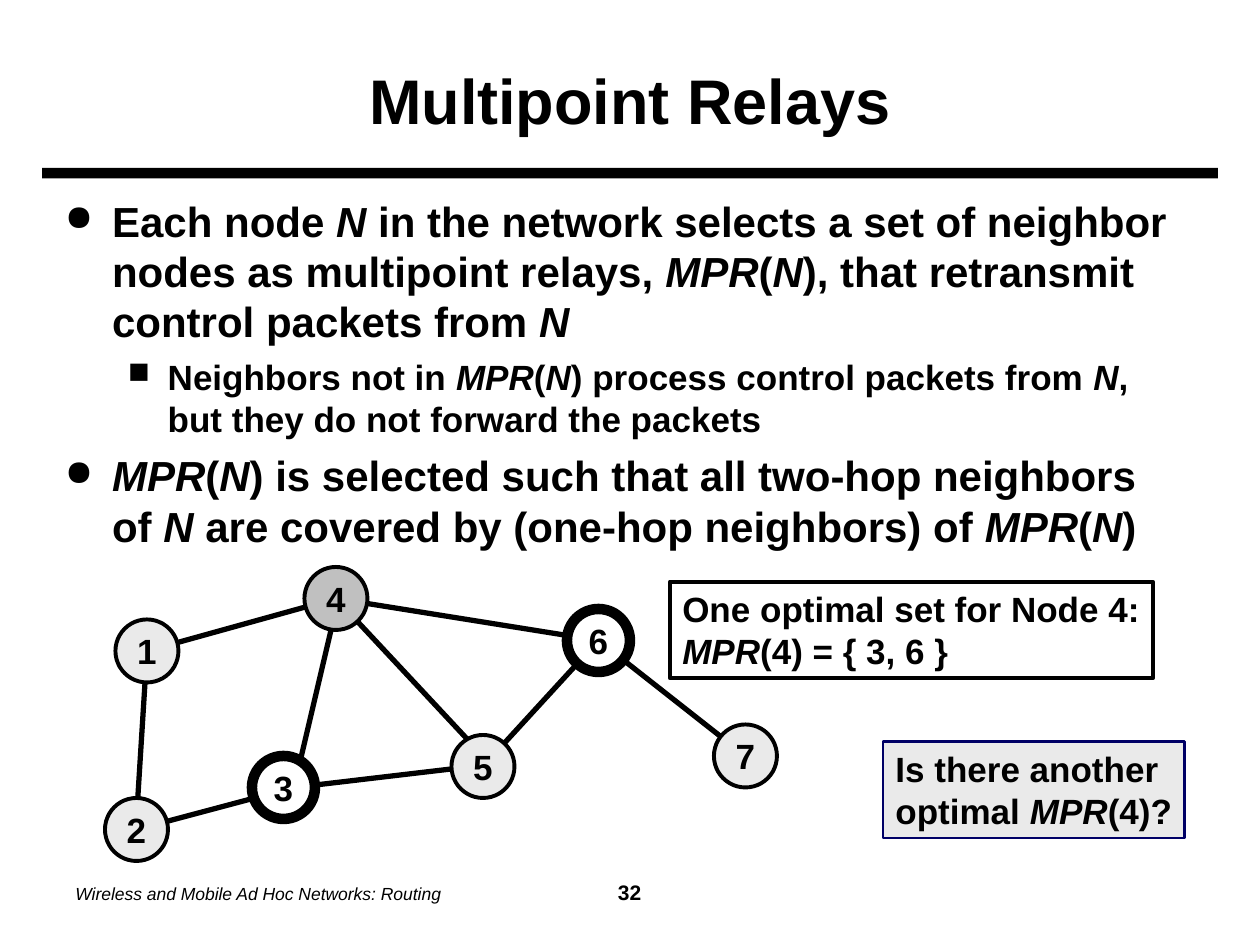
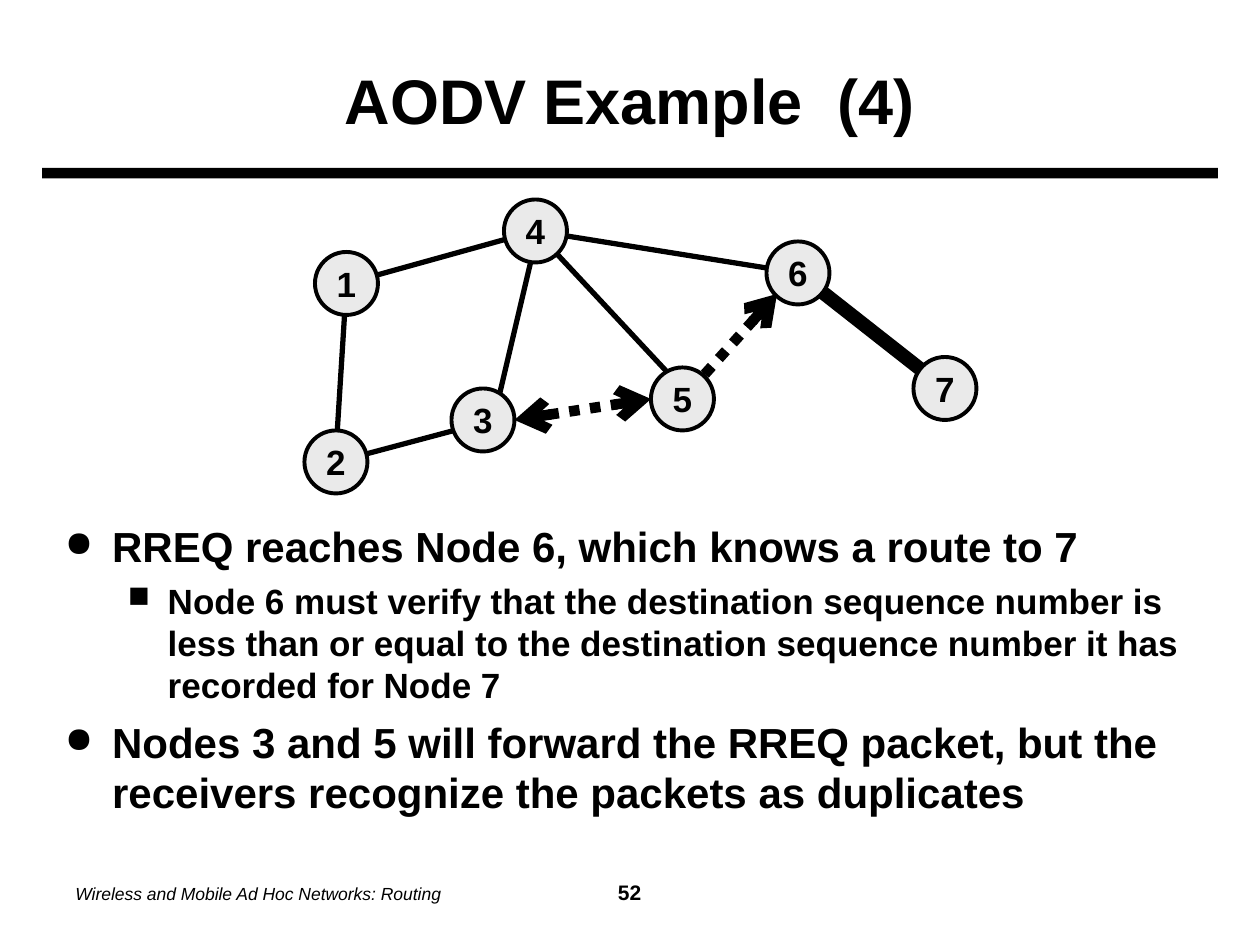
from lxml import etree
from pptx import Presentation
from pptx import util as u
from pptx.dml.color import RGBColor
from pptx.enum import dml, shapes, text
from pptx.oxml import ns

BLACK = RGBColor(0x00, 0x00, 0x00)
WHITE = RGBColor(0xFF, 0xFF, 0xFF)
PALE = RGBColor(0xEA, 0xEA, 0xEA)
SILVER = RGBColor(0xC0, 0xC0, 0xC0)
NAVY = RGBColor(0x00, 0x00, 0x66)

PX = 7620  # EMU in one px, 120 px to the inch
PAGE = (1200, 900)
FOOTER = "Wireless and Mobile Ad Hoc Networks: Routing"
NODE_SIZE = 60

# Formats
TITLE = {"size": u.Pt(36), "bold": True}
LABEL = {"size": u.Pt(20), "bold": True}
FOOTER_NAME = {"size": u.Pt(10), "italic": True}
FOOTER_NUMBER = {"size": u.Pt(12), "bold": True}
LEVELS = [
    {"mark": "●", "margin": 45, "hang": 45, "before": 6,
     "font": {"size": u.Pt(24), "bold": True}},
    {"mark": "■", "margin": 98, "hang": 38, "before": 5, "font": LABEL},
]

# The network: node centres, and how far each link's ends sit from them
NODES = {1: (140, 620), 4: (320, 570), 3: (270, 750), 5: (460, 730),
         2: (130, 790), 6: (570, 610), 7: (710, 720)}
LINKS = {
    (1, 2): (0, 0, 0, -10),
    (4, 5): (0, 0, 0, -10),
    (2, 3): (0, 0, 10, 0),
    (1, 4): (0, 0, 0, 0),
    (4, 3): (0, 10, 10, 0),
    (3, 5): (10, 0, -10, 0),
    (4, 6): (0, 0, 0, 0),
    (6, 5): (0, 0, 0, 0),
    (6, 7): (0, 0, 0, 0),
}

# Slides; *text* is italic
RELAY = {"fill": WHITE, "line": 6}
SLIDES = [
    {
        "title": "Multipoint Relays",
        "number": 32,
        "body": (50, 180, 1090, 350),
        "bullets": [
            (0, "Each node *N* in the network selects a set of neighbor nodes as "
                "multipoint relays, *MPR*(*N*), that retransmit control packets "
                "from *N*"),
            (1, "Neighbors not in *MPR*(*N*) process control packets from *N*, "
                "but they do not forward the packets"),
            (0, "*MPR*(*N*) is selected such that all two-hop neighbors of *N* "
                "are covered by (one-hop neighbors) of *MPR*(*N*)"),
        ],
        "shift": (0, 0),
        "nodes": {4: {"fill": SILVER}, 3: RELAY, 6: RELAY},
        "links": {},
        "notes": [
            ((638, 554, 460, 92), None, BLACK, 2.25,
             "One optimal set for Node 4:\n*MPR*(4) = { 3, 6 }"),
            ((841, 706, 287, 92), PALE, NAVY, 1.5,
             "Is there another\noptimal *MPR*(4)?"),
        ],
    },
    {
        "title": "AODV Example  (4)",
        "number": 52,
        "body": (50, 490, 1090, 320),
        "bullets": [
            (0, "RREQ reaches Node 6, which knows a route to 7"),
            (1, "Node 6 must verify that the destination sequence number is less "
                "than or equal to the destination sequence number it has "
                "recorded for Node 7"),
            (0, "Nodes 3 and 5 will forward the RREQ packet, but the receivers "
                "recognize the packets as duplicates"),
        ],
        "shift": (190, -350),
        "nodes": {},
        "links": {
            (3, 5): {"nudge": (30, 0, -30, 0), "width": 6,
                     "arrows": ("headEnd", "tailEnd")},
            (6, 5): {"nudge": (-20, 20, 0, 0), "width": 6,
                     "arrows": ("headEnd",)},
            (6, 7): {"width": 8},
        },
        "notes": [],
    },
]


def px(*lengths):
    return [u.Emu(length * PX) for length in lengths]


def apply(target, values):
    for name, value in values.items():
        setattr(target, name, value)


def add_xml(parent, tag, **attributes):
    return etree.SubElement(parent, ns.qn(tag), attributes)


def add_run(paragraph, words, font):
    run = paragraph.add_run()
    run.text = words
    apply(run.font, {"name": "Arial", **font})
    run.font.color.rgb = BLACK


def write(paragraph, marked, font):
    """Write marked text: *...* is italic, a newline is a line break."""
    for row, line in enumerate(marked.split("\n")):
        if row:
            paragraph.add_line_break()
        for index, words in enumerate(line.split("*")):
            if words:
                add_run(paragraph, words, {**font, "italic": index % 2 == 1})


def add_box(slide, place, anchor=text.MSO_ANCHOR.MIDDLE):
    frame = slide.shapes.add_textbox(*px(*place)).text_frame
    apply(frame, {"word_wrap": True, "vertical_anchor": anchor})
    return frame


def add_shape(slide, kind, place, fill, line=None, width=0):
    shape = slide.shapes.add_shape(kind, *px(*place))
    shape.shadow.inherit = False
    if fill is None:
        shape.fill.background()
    else:
        shape.fill.solid()
        shape.fill.fore_color.rgb = fill
    if line is None:
        shape.line.fill.background()
    else:
        shape.line.color.rgb = line
        shape.line.width = u.Pt(width)
    return shape


def add_label(shape, marked, alignment, anchor):
    frame = shape.text_frame
    apply(frame, {"word_wrap": False, "vertical_anchor": anchor})
    paragraph = frame.paragraphs[0]
    paragraph.alignment = alignment
    write(paragraph, marked, LABEL)


def add_frame(slide, title, number):
    """Rule, footer and title shared by all slides."""
    add_shape(slide, shapes.MSO_SHAPE.RECTANGLE, (40, 160, 1120, 10), BLACK)
    footer = add_box(slide, (60, 820, 1080, 60)).paragraphs[0]
    tabs = add_xml(footer._p.get_or_add_pPr(), "a:tabLst")
    add_xml(tabs, "a:tab", pos=str(525 * PX), algn="ctr")
    add_run(footer, FOOTER, FOOTER_NAME)
    add_run(footer, f"\t {number}", FOOTER_NUMBER)
    heading = add_box(slide, (60, 30, 1080, 130)).paragraphs[0]
    heading.alignment = text.PP_ALIGN.CENTER
    write(heading, title, TITLE)


def add_bullets(slide, place, bullets):
    frame = add_box(slide, place, text.MSO_ANCHOR.TOP)
    for index, (depth, marked) in enumerate(bullets):
        level = LEVELS[depth]
        paragraph = frame.add_paragraph() if index else frame.paragraphs[0]
        paragraph.level = depth
        properties = paragraph._p.get_or_add_pPr()
        properties.set("marL", str(level["margin"] * PX))
        properties.set("indent", str(-level["hang"] * PX))
        color = add_xml(properties, "a:buClr")
        add_xml(color, "a:srgbClr", val=str(BLACK))
        add_xml(properties, "a:buSzPct", val="85000")
        add_xml(properties, "a:buChar", char=level["mark"])
        if index:
            paragraph.space_before = u.Pt(level["before"])
        write(paragraph, marked, level["font"])


def add_link(slide, ends, width=3, arrows=()):
    link = slide.shapes.add_connector(shapes.MSO_CONNECTOR.STRAIGHT, *px(*ends))
    link.line.color.rgb = BLACK
    link.line.width = u.Pt(width)
    if arrows:
        link.line.dash_style = dml.MSO_LINE.ROUND_DOT
    for end in arrows:
        add_xml(link.line._get_or_add_ln(), f"a:{end}", type="arrow")
    add_xml(link._element.spPr, "a:effectLst")


def add_network(slide, shift, node_styles, link_styles):
    centres = {node: (x + shift[0], y + shift[1])
               for node, (x, y) in NODES.items()}
    for (start, end), usual in LINKS.items():
        style = dict(link_styles.get((start, end), {}))
        nudge = style.pop("nudge", usual)
        ends = [a + b for a, b in zip(centres[start] + centres[end], nudge)]
        add_link(slide, ends, **style)
    for node, (x, y) in centres.items():
        style = {"fill": PALE, "line": 2.25, **node_styles.get(node, {})}
        place = (x - NODE_SIZE // 2, y - NODE_SIZE // 2, NODE_SIZE, NODE_SIZE)
        circle = add_shape(slide, shapes.MSO_SHAPE.OVAL, place,
                           style["fill"], BLACK, style["line"])
        add_label(circle, str(node), text.PP_ALIGN.CENTER, text.MSO_ANCHOR.MIDDLE)


def main():
    presentation = Presentation()
    presentation.slide_width, presentation.slide_height = px(*PAGE)
    for content in SLIDES:
        slide = presentation.slides.add_slide(presentation.slide_layouts[6])
        add_frame(slide, content["title"], content["number"])
        add_bullets(slide, content["body"], content["bullets"])
        add_network(slide, content["shift"], content["nodes"], content["links"])
        for place, fill, line, width, marked in content["notes"]:
            note = add_shape(slide, shapes.MSO_SHAPE.RECTANGLE, place,
                             fill, line, width)
            add_label(note, marked, text.PP_ALIGN.LEFT, text.MSO_ANCHOR.TOP)
    presentation.save("out.pptx")


if __name__ == "__main__":
    main()
